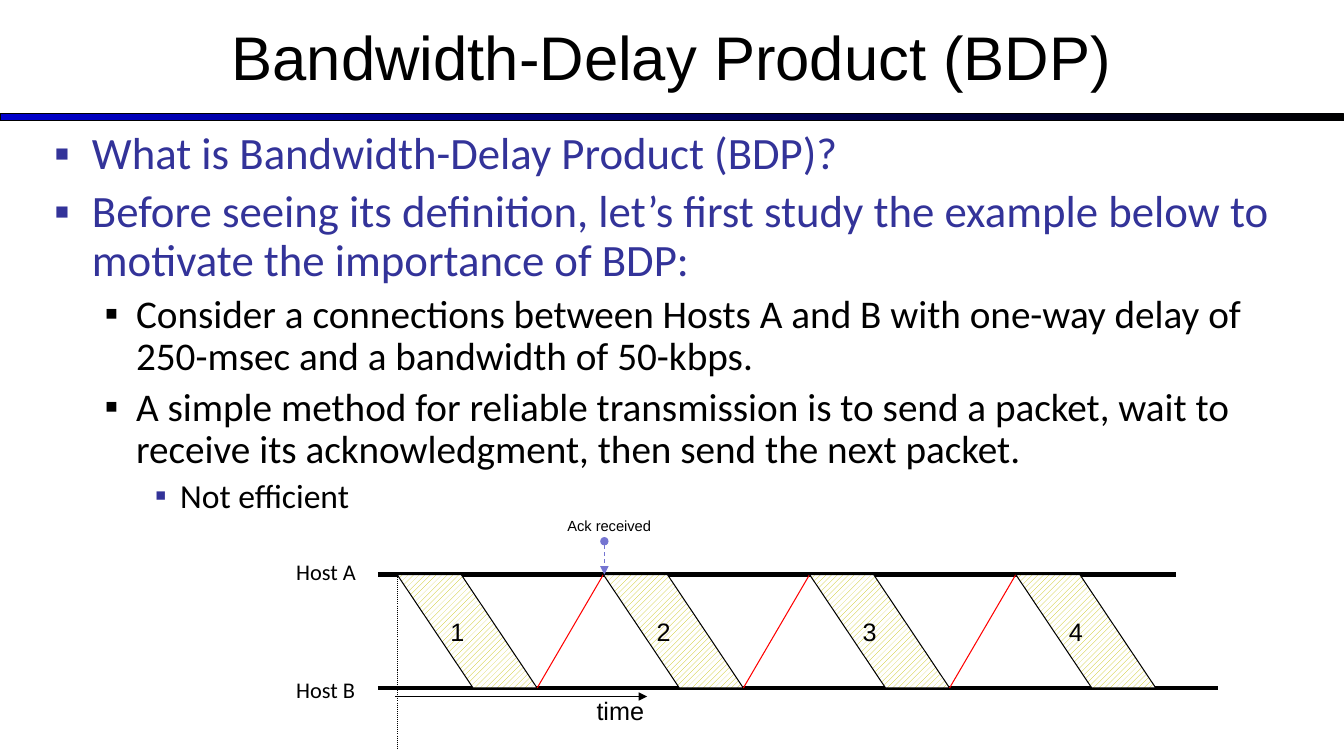
from pptx import Presentation
from pptx.dml.color import RGBColor
from pptx.enum.dml import MSO_LINE, MSO_PATTERN
from pptx.enum.shapes import MSO_CONNECTOR, MSO_SHAPE
from pptx.enum.text import MSO_ANCHOR, MSO_AUTO_SIZE, PP_ALIGN
from pptx.oxml.ns import qn
from pptx.util import Pt
from lxml.etree import SubElement

COLORS = {"black": "000000", "white": "FFFFFF", "blue": "0000CC", "indigo": "333399",
          "olive": "C5C000", "red": "FF0000", "lilac": "7575D1"}
C = {name: RGBColor.from_string(value) for name, value in COLORS.items()}

prs = Presentation()
prs.slide_width, prs.slide_height = Pt(960), Pt(540)
slide = prs.slides.add_slide(prs.slide_layouts[1])
shapes = slide.shapes


def style(p, size, font="Arial", color="black"):
    for r in p.runs:
        r.font.size, r.font.name = Pt(size), font
        r.font.color.rgb = C[color]


def add_line(x1, y1, x2, y2, color="black", width=0.75, dash=None, head=None, tail=None):
    """Draw a shadowless line; head is the end at (x1, y1), tail at (x2, y2)."""
    line = shapes.add_connector(MSO_CONNECTOR.STRAIGHT, Pt(x1), Pt(y1), Pt(x2), Pt(y2))
    line.line.color.rgb, line.line.width = C[color], Pt(width)
    if dash:
        line.line.dash_style = dash
    ln = line.line._get_or_add_ln()
    for tag, kind in (("a:headEnd", head), ("a:tailEnd", tail)):
        if kind:
            SubElement(ln, qn(tag), type=kind)
    SubElement(line._element.spPr, qn("a:effectLst"))


# Title and the bar under it
title = shapes.title
title.left, title.top, title.width, title.height = Pt(0), Pt(-2), Pt(960), Pt(90)
tf = title.text_frame
tf.text = "Bandwidth-Delay Product (BDP)"
tf.auto_size, tf.vertical_anchor = MSO_AUTO_SIZE.NONE, MSO_ANCHOR.MIDDLE
p = tf.paragraphs[0]
p.alignment, p.line_spacing = PP_ALIGN.CENTER, 0.9
style(p, 44)

bar = shapes.add_shape(MSO_SHAPE.RECTANGLE, Pt(0), Pt(81.2), Pt(960), Pt(5))
bar.shadow.inherit = False
bar.fill.gradient()
bar.fill.gradient_angle = 0
for stop, color in zip(bar.fill.gradient_stops, ("blue", "black")):
    stop.color.rgb = C[color]
bar.line.color.rgb, bar.line.width = C["black"], Pt(0.75)

# Bulleted text
bullets = [
    (0, "What is Bandwidth-Delay Product (BDP)?"),
    (0, "Before seeing its definition, let’s first study the example below to "
        "motivate the importance of BDP:"),
    (1, "Consider a connections between Hosts A and B with one-way delay of 250-msec "
        "and a bandwidth of 50-kbps."),
    (1, "A simple method for reliable transmission is to send a packet, wait to receive "
        "its acknowledgment, then send the next packet."),
    (2, "Not efficient"),
]
# Per level: size, text colour, bullet colour, left margin, hanging indent, space before
levels = [(32, "indigo", "indigo", 27, 27, 7),
          (28, "black", "black", 58.5, 22.5, 6),
          (24, "black", "indigo", 90, 18, 5)]
body = slide.placeholders[1]
body.left, body.top, body.width, body.height = Pt(31.5), Pt(90), Pt(916), Pt(406)
tf = body.text_frame
tf.auto_size, tf.vertical_anchor = MSO_AUTO_SIZE.NONE, MSO_ANCHOR.TOP
for i, (level, text) in enumerate(bullets):
    size, color, bullet_color, margin, hang, before = levels[level]
    p = tf.add_paragraph() if i else tf.paragraphs[0]
    p.text, p.level, p.line_spacing = text, level, 0.9
    p.space_before = Pt(before if i else 0)
    pPr = p._p.get_or_add_pPr()
    pPr.set("marL", str(Pt(margin)))
    pPr.set("indent", str(-Pt(hang)))
    SubElement(SubElement(pPr, qn("a:buClr")), qn("a:srgbClr"), val=COLORS[bullet_color])
    SubElement(pPr, qn("a:buFont"), typeface="Arial")
    SubElement(pPr, qn("a:buChar"), char="▪")
    style(p, size, "Calibri", color)

# Timing diagram: host lines, packets and acknowledgments
host_a, host_b = 410.4, 491.4
first_packet, pitch, packet_width = 283.7, 147.3, 100
add_line(270, host_a, 840, host_a, width=3)
add_line(270, host_b, 870, host_b, width=3)
for i in range(4):
    x = first_packet + i * pitch
    packet = shapes.add_shape(MSO_SHAPE.PARALLELOGRAM, Pt(x), Pt(host_a),
                              Pt(packet_width), Pt(host_b - host_a))
    packet.adjustments[0] = 0.67
    packet._element.spPr.xfrm.set("flipH", "1")
    packet.shadow.inherit = False
    packet.fill.patterned()
    packet.fill.pattern = MSO_PATTERN.WIDE_UPWARD_DIAGONAL
    packet.fill.fore_color.rgb, packet.fill.back_color.rgb = C["olive"], C["white"]
    packet.line.color.rgb, packet.line.width = C["black"], Pt(0.75)
    packet.text_frame.text = str(i + 1)
    p = packet.text_frame.paragraphs[0]
    p.alignment = PP_ALIGN.LEFT
    style(p, 18)
    if i < 3:
        add_line(x + pitch, host_a, x + packet_width, host_b, "red")

ack = first_packet + pitch + 0.7
add_line(first_packet, host_a, first_packet, 535, dash=MSO_LINE.ROUND_DOT)
add_line(282.2, 497.5, 462.2, 497.5, tail="triangle")
add_line(ack, 386.6, ack, host_a, "lilac", dash=MSO_LINE.DASH, head="oval", tail="triangle")

labels = [("Host A", 204.5, 395.3, 57.6, 26.6, 16, "Calibri", False),
          ("Host B", 204.5, 479.5, 57.6, 26.6, 16, "Calibri", False),
          ("Ack received", 398.2, 365.8, 90, 20, 10.5, "Arial", True),
          ("time", 419, 493.2, 66.2, 28.8, 18, "Arial", True)]
for text, x, y, width, height, size, font, wrap in labels:
    tf = shapes.add_textbox(Pt(x), Pt(y), Pt(width), Pt(height)).text_frame
    tf.text, tf.word_wrap = text, wrap
    style(tf.paragraphs[0], size, font)

prs.save("out.pptx")
